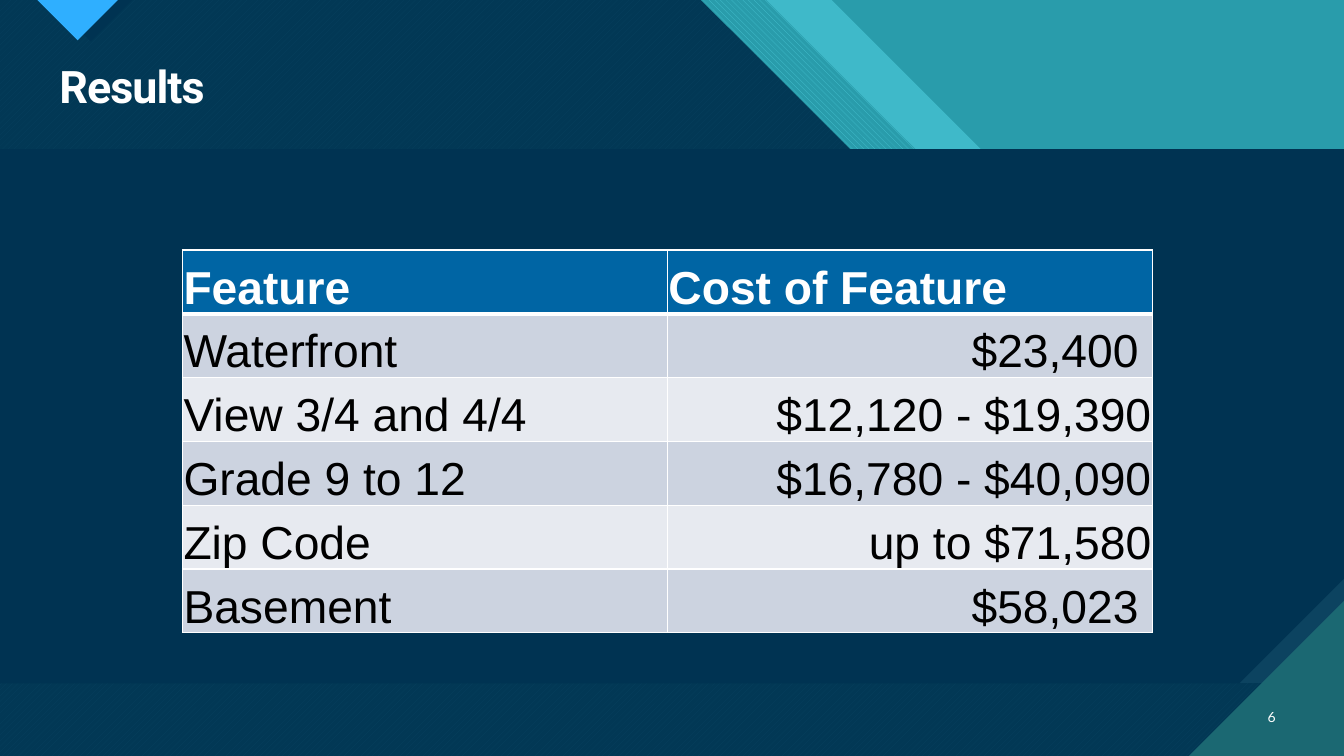
from dataclasses import dataclass

from lxml import etree
from pptx import Presentation, util as u
from pptx.dml.color import RGBColor
from pptx.enum import dml, text
from pptx.oxml.ns import qn

WIDTH, HEIGHT = u.Inches(13.33), u.Inches(7.5)


@dataclass(frozen=True)
class Theme:
    """Colours, fonts and type sizes of the slide."""
    teal: str = "299CAB"
    aqua: str = "47C3D3"
    band: str = "3FB9C9"
    pine: str = "1B6872"
    navy: str = "003352"
    edge: str = "0C4360"
    sky: str = "2FAFFF"
    header: str = "0065A4"
    stripes: tuple = ("E7EAF0", "CCD3E0")
    white: str = "FFFFFF"
    black: str = "000000"
    title: tuple = ("Roboto", 32)
    number: tuple = ("Lato", 10)
    body: tuple = ("Arial", 33)


THEME = Theme()
ROWS = [
    ("Feature", "Cost of Feature"),
    ("Waterfront", "$23,400 "),
    ("View 3/4 and 4/4", "$12,120 - $19,390"),
    ("Grade 9 to 12", "$16,780 - $40,090"),
    ("Zip Code", "up to $71,580"),
    ("Basement", "$58,023 "),
]


def across(percent):
    """Return a share of the slide width."""
    return round(WIDTH * percent / 100)


def down(percent):
    """Return a share of the slide height."""
    return round(HEIGHT * percent / 100)


def rgb(value):
    """Return a colour from its hex code."""
    return RGBColor.from_string(value)


def paint(fill, color, back=None, pattern=None):
    """Fill with one colour, or with a two-colour pattern."""
    if pattern is None:
        fill.solid()
    else:
        fill.patterned()
        fill.pattern = pattern
        fill.back_color.rgb = rgb(back)
    fill.fore_color.rgb = rgb(color)


def add_polygon(slide, points, color, back=None, pattern=None):
    """Add a closed outline through points given in slide percentages."""
    corners = [(across(x), down(y)) for x, y in points]
    builder = slide.shapes.build_freeform(*corners[0])
    builder.add_line_segments(corners[1:])
    sp = builder.convert_to_shape()
    sp.shadow.inherit = False
    sp.line.fill.background()
    paint(sp.fill, color, back, pattern)
    return sp


def add_band(slide, top, color, back=None, pattern=None):
    """Add a field whose right edge falls diagonally from the top."""
    points = [(0, 0), (top, 0), (top + 22.28, 39.6), (100, 39.6), (100, 100), (0, 100)]
    return add_polygon(slide, points, color, back, pattern)


def set_alpha(sp, percent):
    """Make a solid fill partly transparent."""
    color = sp.fill._xPr.find(qn("a:solidFill"))[0]
    etree.SubElement(color, qn("a:alpha")).set("val", str(percent * 1000))


def style(p, face, color, bold=False):
    """Format the runs of a paragraph."""
    for r in p.runs:
        r.font.name, r.font.size = face[0], u.Pt(face[1])
        r.font.bold = bold
        r.font.color.rgb = rgb(color)


def add_label(slide, box, words, face, align, bold=False):
    """Add a white line of text in a box given in slide percentages."""
    x, y, w, h = box
    tf = slide.shapes.add_textbox(across(x), down(y), across(w), down(h)).text_frame
    tf.word_wrap = True
    tf.vertical_anchor = text.MSO_ANCHOR.MIDDLE
    tf.text = words
    p = tf.paragraphs[0]
    p.alignment = align
    style(p, face, THEME.white, bold)
    return p


def set_borders(cell, top, bottom):
    """Draw white lines around a cell, with widths in points."""
    tc_pr = cell._tc.get_or_add_tcPr()
    for i, (side, width) in enumerate((("L", 1), ("R", 1), ("T", top), ("B", bottom))):
        ln = etree.Element(qn(f"a:ln{side}"), w=str(u.Pt(width)))
        fill = etree.SubElement(ln, qn("a:solidFill"))
        etree.SubElement(fill, qn("a:srgbClr")).set("val", THEME.white)
        tc_pr.insert(i, ln)


def fill_cell(cell, words, row, col):
    """Write and style one table cell."""
    head = row == 0
    cell.text = words
    cell.vertical_anchor = text.MSO_ANCHOR.BOTTOM
    cell.margin_left = cell.margin_right = cell.margin_top = u.Inches(0.01)
    cell.margin_bottom = 0
    p = cell.text_frame.paragraphs[0]
    p.alignment = text.PP_ALIGN.RIGHT if col and not head else text.PP_ALIGN.LEFT
    style(p, THEME.body, THEME.white if head else THEME.black, head)
    paint(cell.fill, THEME.header if head else THEME.stripes[row % 2])
    set_borders(cell, 3 if row == 1 else 1, 3 if head else 1)


def add_cost_table(slide):
    """Add the table of feature costs."""
    frame = slide.shapes.add_table(len(ROWS), len(ROWS[0]), across(13.58), down(33.07),
                                   across(72.17), down(50.67))
    for i, row in enumerate(ROWS):
        for j, words in enumerate(row):
            fill_cell(frame.table.cell(i, j), words, i, j)


def add_backdrop(slide):
    """Draw the diagonal bands, the panel and the corner marks."""
    paint(slide.background.fill, THEME.teal)
    start, step = 52.14, 4.87
    add_band(slide, start + 2 * step, THEME.band)
    add_band(slide, start + step, THEME.aqua, THEME.teal,
             dml.MSO_PATTERN.WIDE_DOWNWARD_DIAGONAL)
    add_band(slide, start, THEME.aqua, THEME.pine,
             dml.MSO_PATTERN.WIDE_UPWARD_DIAGONAL)
    set_alpha(add_band(slide, start, THEME.navy), 90)
    add_polygon(slide, [(3.6, 0), (9.83, 0), (6.75, 5.47)], THEME.navy)
    add_polygon(slide, [(2.78, 0), (8.78, 0), (5.78, 5.33)], THEME.sky)
    top, bottom = 19.73, 90.4
    add_polygon(slide, [(0, top), (100, top), (100, bottom), (0, bottom)], THEME.edge)
    add_polygon(slide, [(0, top), (100, top), (100, 76.53), (92.2, bottom), (0, bottom)],
                THEME.navy)
    add_polygon(slide, [(88.45, 100), (100, 100), (100, 79.47)], THEME.pine)


def main():
    """Build and save the slide."""
    prs = Presentation()
    prs.slide_width, prs.slide_height = WIDTH, HEIGHT
    slide = prs.slides.add_slide(prs.slide_layouts[6])
    add_backdrop(slide)
    title = add_label(slide, (3.68, 7.87, 91.97, 7.87), "Results", THEME.title,
                      text.PP_ALIGN.LEFT, True)
    title.line_spacing = 0.9
    title.runs[0].font._element.set("spc", "-70")
    add_label(slide, (92.35, 92.13, 3.3, 5.33), "6", THEME.number, text.PP_ALIGN.RIGHT)
    add_cost_table(slide)
    prs.save("out.pptx")


if __name__ == "__main__":
    main()
